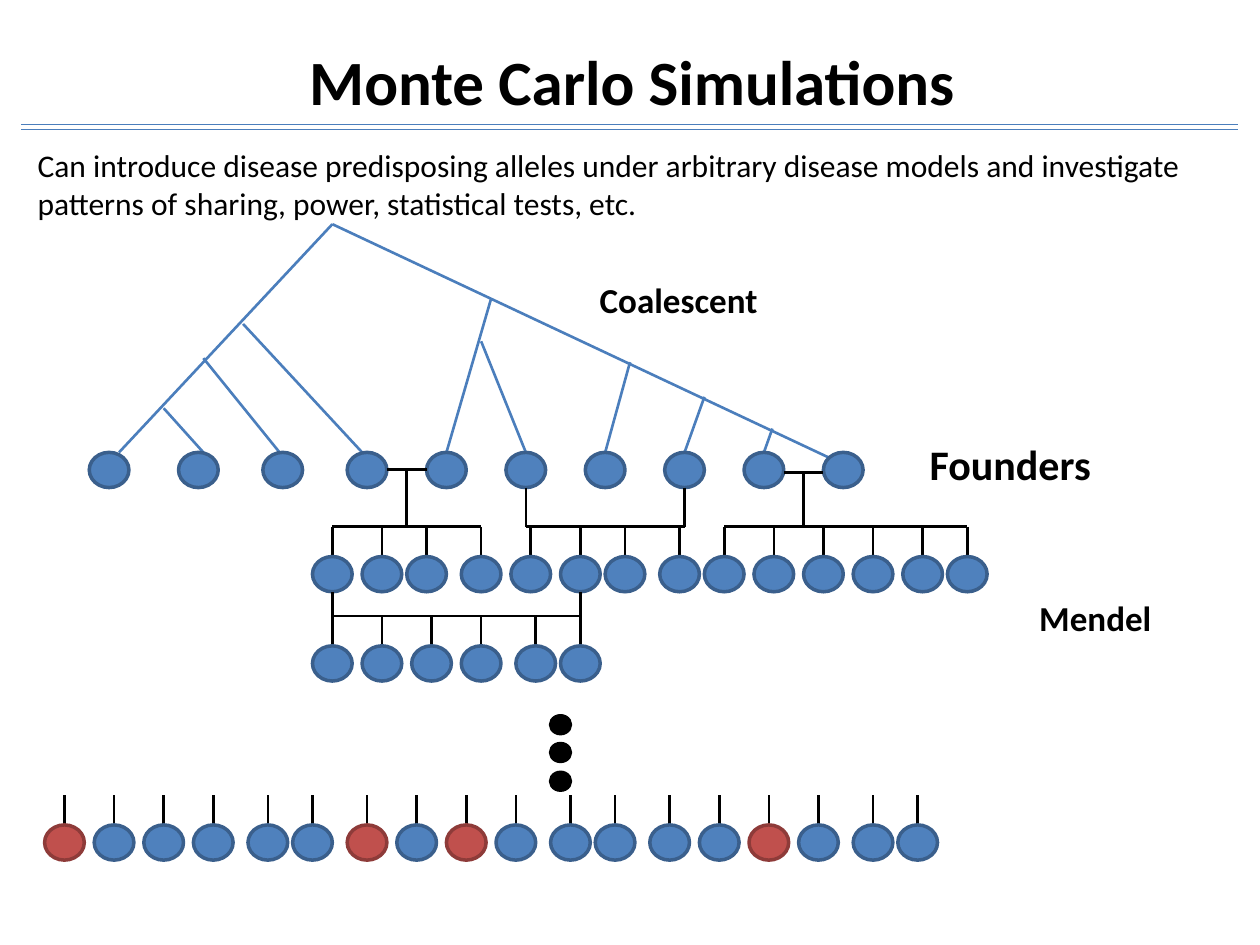
"""Draw a coalescent tree, its founders and their Mendelian descendants."""
from pptx import Presentation as Deck
from pptx.dml.color import RGBColor as Rgb
from pptx.enum.shapes import MSO_CONNECTOR as Link, MSO_SHAPE as Form
from pptx.enum.text import MSO_ANCHOR as Anchor, MSO_AUTO_SIZE as Fit, PP_ALIGN as Align
from pptx.oxml.ns import qn
from pptx.util import Cm, Pt

HUES = {"ink": "000000", "tree": "4B7EBC", "blue": "4F81BD", "navy": "3A5F8C",
        "red": "C0504D", "wine": "8E3B39"}
WIDE, HIGH = 0.8, 0.71
TOPS = {"founder": 9.12, "child": 11.22, "grand": 13.02, "last": 16.63}
FOUNDERS = [2.2, 4, 5.7, 7.4, 9, 10.6, 12.2, 13.8, 15.4, 17]
SIBS = [[6.7, 7.7, 8.6, 9.7], [10.7, 11.7, 12.6, 13.7],
        [14.6, 15.6, 16.6, 17.6, 18.6, 19.5]]
GRANDS = [6.7, 7.7, 8.7, 9.7, 10.8, 11.7]
LAST = [1.3, 2.3, 3.3, 4.3, 5.4, 6.3, 7.4, 8.4, 9.4, 10.4,
        11.5, 12.4, 13.5, 14.5, 15.5, 16.5, 17.6, 18.5]
CASES = {1.3, 7.4, 9.4, 15.5}
TREE = [(6.7, 4.52, 2.4, 9.12), (6.7, 4.52, 16.7, 9.22), (3.3, 8.23, 4.1, 9.12),
        (4.9, 6.53, 7.3, 9.12), (9.9, 6.02, 9, 9.12), (4.1, 7.22, 5.7, 9.2),
        (9.7, 6.88, 10.6, 9.12), (12.7, 7.3, 12.2, 9.12), (14.2, 8, 13.8, 9.12),
        (15.57, 8.64, 15.4, 9.12)]


def hue(name):
    return Rgb.from_string(HUES[name])


def line(slide, x1, y1, x2, y2, color="ink", width=1.5):
    wire = slide.shapes.add_connector(Link.STRAIGHT, Cm(x1), Cm(y1), Cm(x2), Cm(y2))
    wire.line.color.rgb = hue(color)
    wire.line.width = Pt(width)
    props = wire.element.spPr
    props.append(props.makeelement(qn("a:effectLst"), {}))


def disc(slide, mid, top, wide=WIDE, high=HIGH, fill="blue", edge="navy"):
    dot = slide.shapes.add_shape(Form.OVAL, Cm(mid - wide / 2), Cm(top), Cm(wide), Cm(high))
    dot.shadow.inherit = False
    dot.fill.solid()
    dot.fill.fore_color.rgb = hue(fill)
    dot.line.color.rgb = hue(edge)
    dot.line.width = Pt(2)


def row(slide, mids, top, cases=()):
    for mid in mids:
        fill, edge = ("red", "wine") if mid in cases else ("blue", "navy")
        disc(slide, mid, top, fill=fill, edge=edge)


def drops(slide, mids, top, end):
    for mid in mids:
        line(slide, mid, top, mid, end)


def brood(slide, mids, bar, top):
    line(slide, mids[0], bar, mids[-1], bar)
    drops(slide, mids, bar, top)
    row(slide, mids, top)


def pair(slide, left, right, level, bar):
    mid = (left + right) / 2
    line(slide, left + WIDE / 2, level, right - WIDE / 2, level)
    line(slide, mid, level, mid, bar)


def write(frame, text, size=20, bold=True, align=Align.LEFT):
    for i, part in enumerate(text.split("\n")):
        para = frame.add_paragraph() if i else frame.paragraphs[0]
        para.alignment = align
        run = para.add_run()
        run.text = part
        run.font.name = "Calibri"
        run.font.size = Pt(size)
        run.font.bold = bold
        run.font.color.rgb = hue("ink")


def label(slide, box, text, **style):
    frame = slide.shapes.add_textbox(*map(Cm, box)).text_frame
    frame.word_wrap = False
    frame.auto_size = Fit.SHAPE_TO_FIT_TEXT
    write(frame, text, **style)


def head(slide, text):
    title = slide.shapes.title
    title.left, title.top, title.width, title.height = map(Cm, (1.27, 0.43, 22.94, 2.36))
    title.text_frame.vertical_anchor = Anchor.MIDDLE
    write(title.text_frame, text, size=36, align=Align.CENTER)
    for y in (2.51, 2.61):
        line(slide, 0.43, y, 24.95, y, "tree", 0.75)


def main():
    deck = Deck()
    deck.slide_width, deck.slide_height = Cm(25.4), Cm(19.05)
    slide = deck.slides.add_slide(deck.slide_layouts[5])
    head(slide, "Monte Carlo Simulations")
    label(slide, (0.51, 2.82, 23.98, 1.8),
          "Can introduce disease predisposing alleles under arbitrary disease models and investigate\n"
          "patterns of sharing, power, statistical tests, etc.", size=18, bold=False)

    for ends in TREE:
        line(slide, *ends, color="tree")
    row(slide, FOUNDERS, TOPS["founder"])

    bar = 10.62
    pair(slide, *FOUNDERS[3:5], 9.47, bar)
    pair(slide, *FOUNDERS[8:10], 9.52, bar)
    mates = FOUNDERS[5], FOUNDERS[7]
    drops(slide, mates, TOPS["founder"] + HIGH, bar)
    line(slide, mates[0], bar, mates[1], bar)
    for mids in SIBS:
        brood(slide, mids, bar, TOPS["child"])

    bar = 12.42
    drops(slide, (GRANDS[0], GRANDS[-1]), TOPS["child"] + HIGH, bar)
    brood(slide, GRANDS, bar, TOPS["grand"])

    for top in (14.43, 14.99, 15.57):
        disc(slide, 11.3, top, 0.4, 0.36, "ink", "ink")
    drops(slide, LAST, 16.03, TOPS["last"])
    row(slide, LAST, TOPS["last"], CASES)

    label(slide, (11.84, 5.49, 3.73, 1.12), "Coalescent")
    label(slide, (18.49, 8.71, 3.78, 1.27), "Founders", size=24)
    label(slide, (20.7, 11.91, 2.79, 1.12), "Mendel")
    deck.save("out.pptx")


if __name__ == "__main__":
    main()
